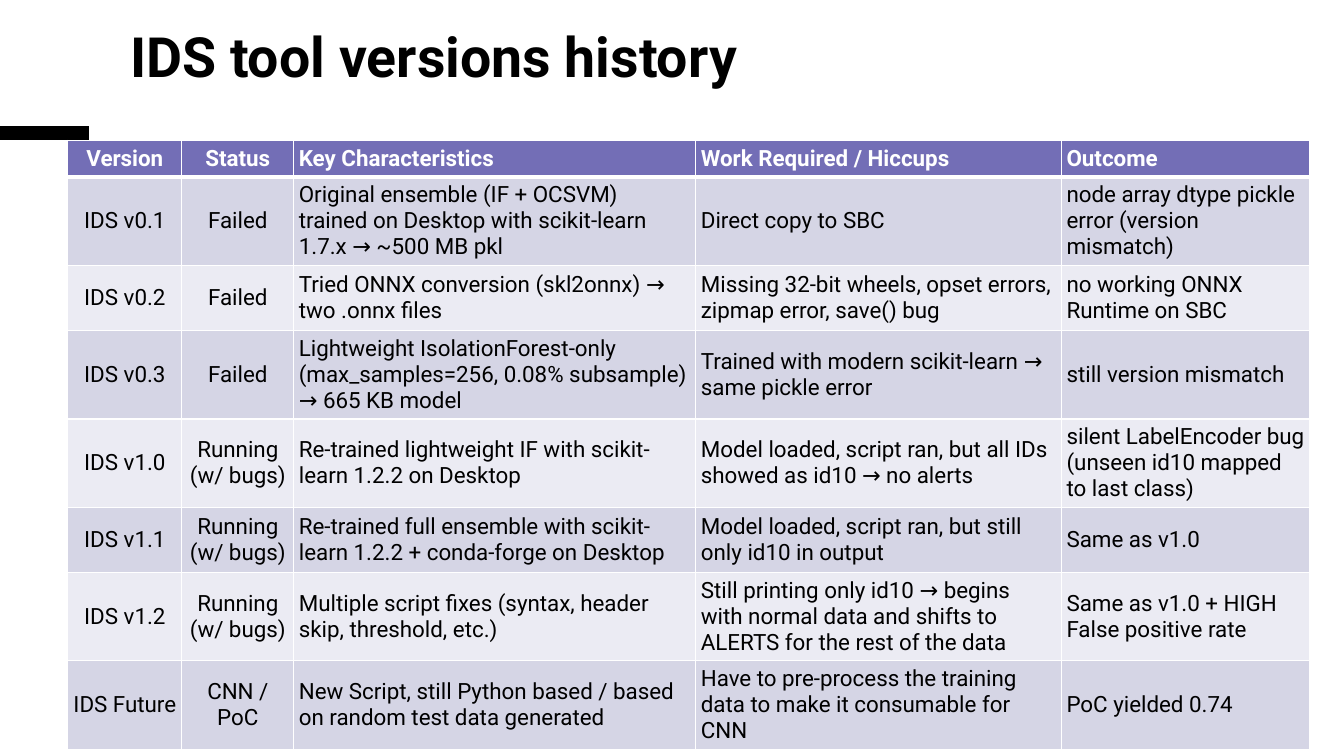
from lxml import etree
from pptx import Presentation
from pptx.dml.color import RGBColor
from pptx.enum import shapes, text
from pptx.oxml.ns import qn
from pptx.util import Pt

FONT = "Roboto"
BLACK = RGBColor(0x00, 0x00, 0x00)
WHITE = RGBColor(0xFF, 0xFF, 0xFF)
PURPLE = RGBColor(0x73, 0x6E, 0xB6)
LILAC = RGBColor(0xD5, 0xD5, 0xE5)
PALE = RGBColor(0xEB, 0xEB, 0xF3)

WIDTHS = [81.4, 80, 287.2, 261.2, 177.2]
HEAD_H, ROW_H = 26, 46.8
CENTERED = 2  # leading columns with centred text

ROWS = [
    ["Version", "Status", "Key Characteristics", "Work Required / Hiccups", "Outcome"],
    ["IDS v0.1", "Failed",
     "Original ensemble (IF + OCSVM) trained on Desktop with scikit-learn 1.7.x → ~500 MB pkl",
     "Direct copy to SBC", "node array dtype pickle error (version mismatch)"],
    ["IDS v0.2", "Failed",
     "Tried ONNX conversion (skl2onnx) → two .onnx files",
     "Missing 32-bit wheels, opset errors, zipmap error, save() bug",
     "no working ONNX Runtime on SBC"],
    ["IDS v0.3", "Failed",
     "Lightweight IsolationForest-only (max_samples=256, 0.08% subsample) → 665 KB model",
     "Trained with modern scikit-learn → same pickle error", "still version mismatch"],
    ["IDS v1.0", "Running (w/ bugs)",
     "Re-trained lightweight IF with scikit-learn 1.2.2 on Desktop",
     "Model loaded, script ran, but all IDs showed as id10 → no alerts",
     "silent LabelEncoder bug (unseen id10 mapped to last class)"],
    ["IDS v1.1", "Running (w/ bugs)",
     "Re-trained full ensemble with scikit-learn 1.2.2 + conda-forge on Desktop",
     "Model loaded, script ran, but still only id10 in output", "Same as v1.0"],
    ["IDS v1.2", "Running (w/ bugs)",
     "Multiple script fixes (syntax, header skip, threshold, etc.)",
     "Still printing only id10 → begins with normal data and shifts to ALERTS "
     "for the rest of the data",
     "Same as v1.0 + HIGH False positive rate"],
    ["IDS Future", "CNN / PoC",
     "New Script, still Python based / based on random test data generated",
     "Have to pre-process the training data to make it consumable for CNN",
     "PoC yielded 0.74"],
]


def add_run(para, words, size, color, bold):
    run = para.add_run()
    run.text = words
    font = run.font
    font.name, font.size, font.bold = FONT, Pt(size), bold
    font.color.rgb = color


def set_title(slide, words):
    title = slide.shapes.title
    title.left, title.top, title.width, title.height = Pt(85.7), Pt(17.3), Pt(666.7), Pt(49.7)
    frame = title.text_frame
    frame.word_wrap = True
    frame.auto_size = text.MSO_AUTO_SIZE.NONE
    frame.vertical_anchor = text.MSO_ANCHOR.BOTTOM
    para = frame.paragraphs[0]
    para.alignment = text.PP_ALIGN.LEFT
    para.line_spacing = 0.85
    add_run(para, words, 39.6, BLACK, True)


def add_bar(slide):
    bar = slide.shapes.add_connector(
        shapes.MSO_CONNECTOR.STRAIGHT, Pt(0), Pt(95), Pt(63.4), Pt(95))
    bar.line.color.rgb = BLACK
    bar.line.width = Pt(9.5)
    etree.SubElement(bar._element.spPr, qn("a:effectLst"))


def set_edges(cell, low):
    """Draw white 1 pt borders, with a bottom border low points wide."""
    props = cell._tc.get_or_add_tcPr()
    for spot, (side, width) in enumerate(
            [("lnL", 1), ("lnR", 1), ("lnT", 1), ("lnB", low)]):
        line = etree.Element(qn("a:" + side), w=str(Pt(width)))
        fill = etree.SubElement(line, qn("a:solidFill"))
        etree.SubElement(fill, qn("a:srgbClr"), val=str(WHITE))
        props.insert(spot, line)


def fill_cell(cell, words, fill, color, head, center):
    cell.fill.solid()
    cell.fill.fore_color.rgb = fill
    cell.vertical_anchor = text.MSO_ANCHOR.MIDDLE
    cell.margin_left = cell.margin_right = Pt(3.6)
    cell.margin_top = cell.margin_bottom = Pt(3.6)
    para = cell.text_frame.paragraphs[0]
    para.alignment = text.PP_ALIGN.CENTER if center else text.PP_ALIGN.LEFT
    add_run(para, words, 16, color, head)
    set_edges(cell, 3 if head else 1)


def add_grid(slide):
    high = HEAD_H + ROW_H * (len(ROWS) - 1)
    table = slide.shapes.add_table(
        len(ROWS), len(WIDTHS), Pt(48.5), Pt(100.4), Pt(sum(WIDTHS)), Pt(high)).table
    for col, width in zip(table.columns, WIDTHS):
        col.width = Pt(width)
    for r, row in enumerate(ROWS):
        head = r == 0
        table.rows[r].height = Pt(HEAD_H if head else ROW_H)
        fill = PURPLE if head else LILAC if r % 2 else PALE
        for c, words in enumerate(row):
            fill_cell(table.cell(r, c), words, fill, WHITE if head else BLACK,
                      head, c < CENTERED)


def main():
    deck = Presentation()
    deck.slide_width, deck.slide_height = Pt(960), Pt(540)
    slide = deck.slides.add_slide(deck.slide_layouts[5])
    add_bar(slide)
    set_title(slide, "IDS tool versions history")
    add_grid(slide)
    deck.save("out.pptx")


if __name__ == "__main__":
    main()
